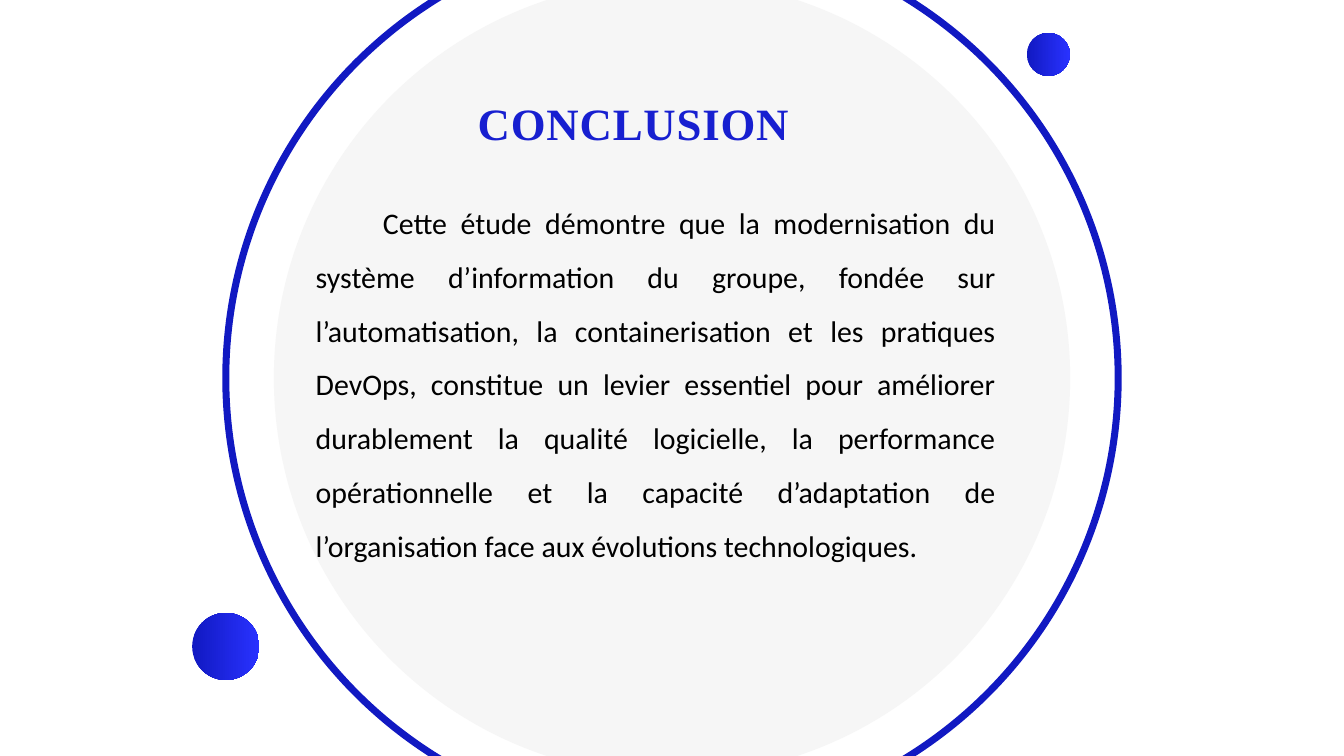
from pptx import Presentation
from pptx.dml.color import RGBColor
from pptx.enum.shapes import MSO_SHAPE as SHAPE
from pptx.enum.text import MSO_ANCHOR as ANCHOR, PP_ALIGN as ALIGN
from pptx.util import Inches, Pt

DARK_BLUE = RGBColor(0x11, 0x19, 0xC2)
BRIGHT_BLUE = RGBColor(0x29, 0x32, 0xFF)
TITLE_BLUE = RGBColor(0x17, 0x1F, 0xD0)
PALE_GREY = RGBColor(0xF6, 0xF6, 0xF6)
BLACK = RGBColor(0, 0, 0)

prs = Presentation()
prs.slide_width, prs.slide_height = Inches(20), Inches(11.25)
s = prs.slides.add_slide(prs.slide_layouts[6])


def add_circle(cx, cy, d):
    sp = s.shapes.add_shape(SHAPE.OVAL, Inches(cx - d / 2), Inches(cy - d / 2),
                            Inches(d), Inches(d))
    sp.shadow.inherit = False
    sp.line.fill.background()
    return sp


def add_text(text, x, y, w, h, *, font, size, color, bold=False, spacing=None,
             align=ALIGN.LEFT, line_spacing=1.0, indent=0):
    tf = s.shapes.add_textbox(Inches(x), Inches(y), Inches(w), Inches(h)).text_frame
    tf.word_wrap = True
    tf.vertical_anchor = ANCHOR.MIDDLE
    tf.margin_left = tf.margin_right = Inches(0.1)
    tf.margin_top = tf.margin_bottom = Inches(0.1)
    p = tf.paragraphs[0]
    p.alignment, p.line_spacing = align, line_spacing
    if indent:
        pPr = p._p.get_or_add_pPr()
        pPr.set("marL", "0")
        pPr.set("indent", str(Inches(indent)))
    r = p.add_run()
    r.text = text
    r.font.name, r.font.size, r.font.bold = font, Pt(size), bold
    r.font.color.rgb = color
    if spacing:
        r.font._element.set("spc", str(round(spacing * 100)))


# Outer ring and inner disc, centred on the slide
ring = add_circle(10, 5.625, 13.28)
ring.fill.background()
ring.line.color.rgb = DARK_BLUE
ring.line.width = Pt(7.5)

disc = add_circle(10, 5.625, 11.85)
disc.fill.solid()
disc.fill.fore_color.rgb = PALE_GREY

# Gradient dots on the ring
for cx, cy, d in [(3.36, 9.62, 1), (15.6, 0.81, 0.64)]:
    dot = add_circle(cx, cy, d)
    dot.fill.gradient()
    dot.fill.gradient_angle = 0
    for stop, color, position in zip(dot.fill.gradient_stops,
                                     (DARK_BLUE, BRIGHT_BLUE), (0, 1)):
        stop.color.rgb = color
        stop.position = position

# Title and closing paragraph
add_text("CONCLUSION", 7.01, 1.13, 7.92, 1.58, font="Times New Roman", size=48,
         color=TITLE_BLUE, bold=True, spacing=0.9, line_spacing=Pt(44.3))
add_text("Cette étude démontre que la modernisation du système d’information du groupe, "
         "fondée sur l’automatisation, la containerisation et les pratiques DevOps, "
         "constitue un levier essentiel pour améliorer durablement la qualité logicielle, "
         "la performance opérationnelle et la capacité d’adaptation de l’organisation "
         "face aux évolutions technologiques.",
         4.6, 2.04, 10.32, 7.08, font="Calibri", size=32, color=BLACK,
         align=ALIGN.JUSTIFY, line_spacing=1.5, indent=1)

prs.save("out.pptx")
